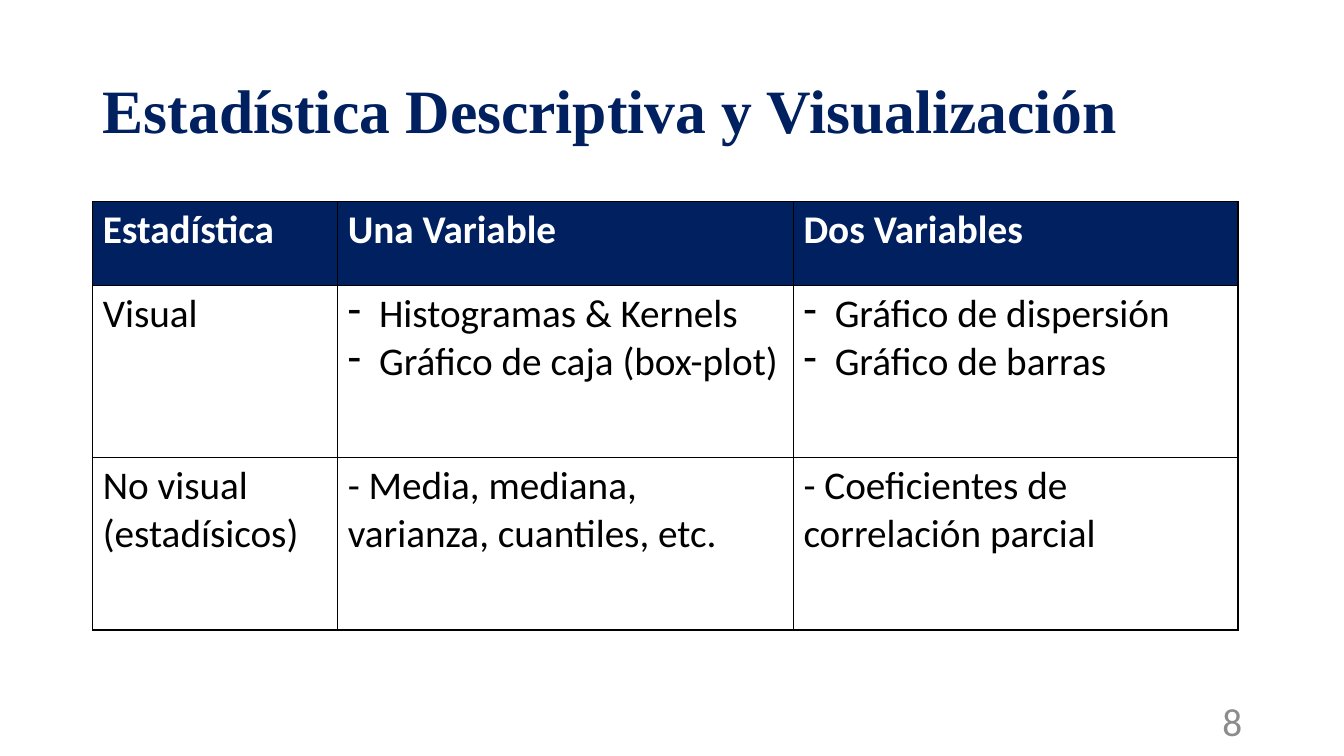
import pptx
import pptx.dml.color
import pptx.enum.text
import pptx.oxml
import pptx.oxml.ns
import pptx.util

EMU_PER_PX = 9144  # 100 px to the inch
COLORS = {"navy": "002060", "white": "FFFFFF", "black": "000000", "gray": "8C8C8C"}
ALIGN = pptx.enum.text.PP_ALIGN
MIDDLE = pptx.enum.text.MSO_ANCHOR.MIDDLE

TITLE_FONT = {"name": "Times New Roman", "size": pptx.util.Pt(44), "bold": True}
HEADER_FONT = {"name": "Calibri", "size": pptx.util.Pt(28), "bold": True}
BODY_FONT = {**HEADER_FONT, "bold": False}

COLUMN_WIDTHS = [243, 452, 441]
ROW_HEIGHTS = [83, 171, 171]
# A list of strings becomes a dashed list; a plain string is one paragraph.
ROWS = [
    ["Estadística", "Una Variable", "Dos Variables"],
    [
        "Visual",
        ["Histogramas & Kernels", "Gráfico de caja (box-plot)"],
        ["Gráfico de dispersión", "Gráfico de barras"],
    ],
    [
        "No visual (estadísicos)",
        "- Media, mediana, varianza, cuantiles, etc.",
        "- Coeficientes de correlación parcial",
    ],
]


def px(length):
    return pptx.util.Emu(length * EMU_PER_PX)


def rgb(color):
    return pptx.dml.color.RGBColor.from_string(COLORS[color])


def write_paragraph(paragraph, text, font, color, alignment=ALIGN.LEFT):
    paragraph.text = text
    paragraph.alignment = alignment
    for name, value in font.items():
        setattr(paragraph.runs[0].font, name, value)
    paragraph.runs[0].font.color.rgb = rgb(color)


def add_dash(paragraph):
    properties = paragraph._p.get_or_add_pPr()
    properties.set("marL", str(px(31)))
    properties.set("indent", str(px(-31)))
    bullet = pptx.oxml.parse_xml(
        f'<a:buChar {pptx.oxml.ns.nsdecls("a")} char="-"/>')
    properties.append(bullet)


def add_borders(cell):
    """Draw a thin black line on all four sides; call before filling the cell."""
    properties = cell._tc.get_or_add_tcPr()
    for side in "LRTB":
        properties.append(pptx.oxml.parse_xml(
            f'<a:ln{side} {pptx.oxml.ns.nsdecls("a")} w="{pptx.util.Pt(1)}">'
            f'<a:solidFill><a:srgbClr val="{COLORS["black"]}"/></a:solidFill>'
            f'</a:ln{side}>'))


def fill_cell(cell, content, is_header):
    add_borders(cell)
    if is_header:
        cell.fill.solid()
        cell.fill.fore_color.rgb = rgb("navy")
    else:
        cell.fill.background()
    font, color = (HEADER_FONT, "white") if is_header else (BODY_FONT, "black")
    is_list = isinstance(content, list)
    frame = cell.text_frame
    for index, text in enumerate(content if is_list else [content]):
        paragraph = frame.add_paragraph() if index else frame.paragraphs[0]
        if is_list:
            add_dash(paragraph)
        write_paragraph(paragraph, text, font, color)


def add_statistics_table(slide, left, top):
    table = slide.shapes.add_table(
        len(ROWS), len(COLUMN_WIDTHS), px(left), px(top),
        px(sum(COLUMN_WIDTHS)), px(sum(ROW_HEIGHTS))).table
    table.first_row = table.horz_banding = False
    for column, width in zip(table.columns, COLUMN_WIDTHS):
        column.width = px(width)
    for row_index, (row, height) in enumerate(zip(table.rows, ROW_HEIGHTS)):
        row.height = px(height)
        for cell, content in zip(row.cells, ROWS[row_index]):
            fill_cell(cell, content, row_index == 0)


def set_title(slide, text, left, top, width, height):
    title = slide.shapes.title
    title.left, title.top, title.width, title.height = map(
        px, (left, top, width, height))
    frame = title.text_frame
    frame.auto_size = pptx.enum.text.MSO_AUTO_SIZE.NONE
    frame.vertical_anchor = MIDDLE
    frame.paragraphs[0].line_spacing = 0.9
    write_paragraph(frame.paragraphs[0], text, TITLE_FONT, "navy")


def add_page_number(slide, text, left, top, width, height):
    box = slide.shapes.add_textbox(*map(px, (left, top, width, height)))
    frame = box.text_frame
    frame.word_wrap = True
    frame.vertical_anchor = MIDDLE
    write_paragraph(frame.paragraphs[0], text, BODY_FONT, "gray", ALIGN.RIGHT)


def main():
    presentation = pptx.Presentation()
    presentation.slide_width = px(1333)
    presentation.slide_height = px(750)
    slide = presentation.slides.add_slide(
        presentation.slide_layouts.get_by_name("Title Only"))
    set_title(slide, "Estadística Descriptiva y Visualización", 92, 40, 1150, 145)
    add_statistics_table(slide, 92, 200)
    add_page_number(slide, "8", 942, 695, 300, 40)
    presentation.save("out.pptx")


if __name__ == "__main__":
    main()
